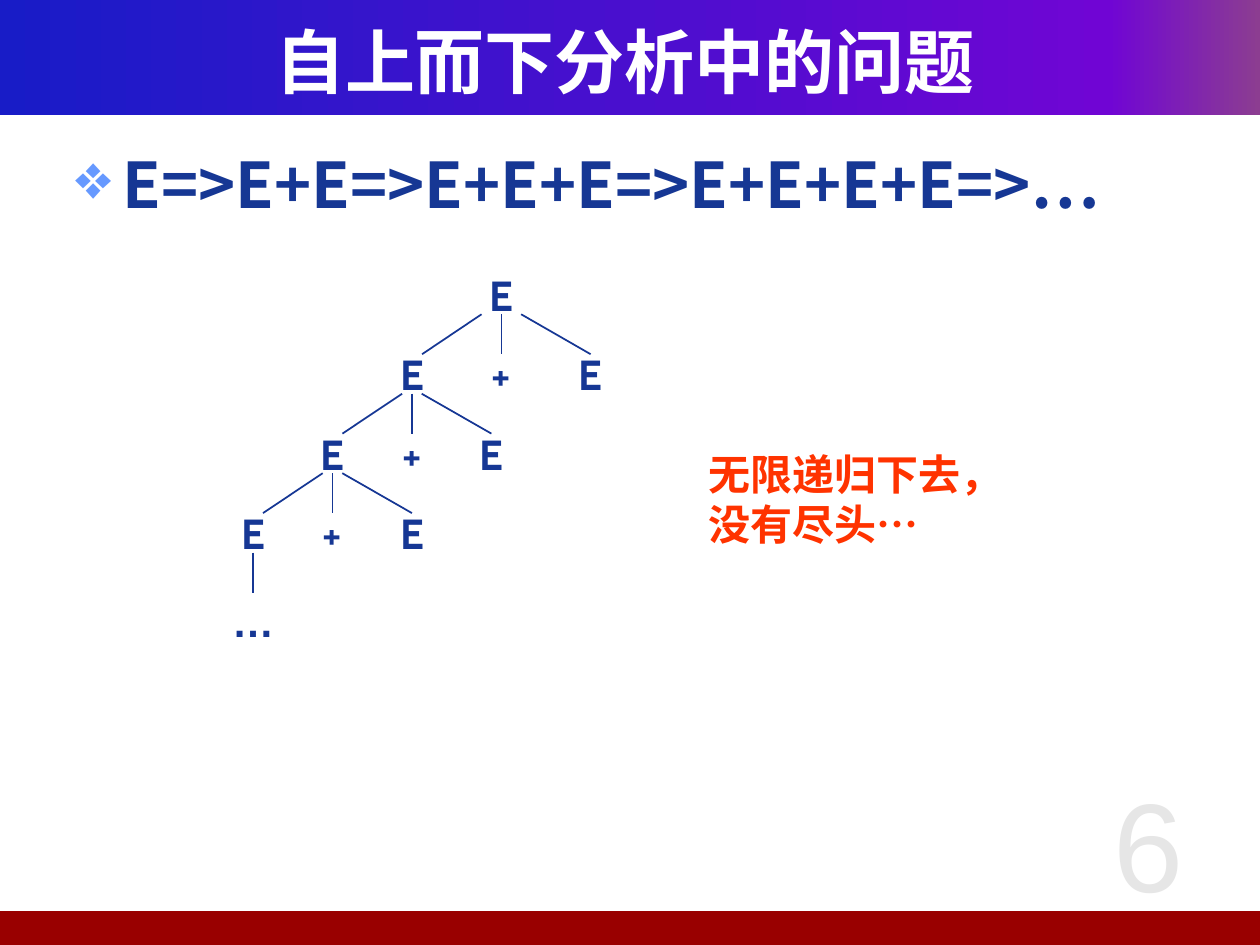
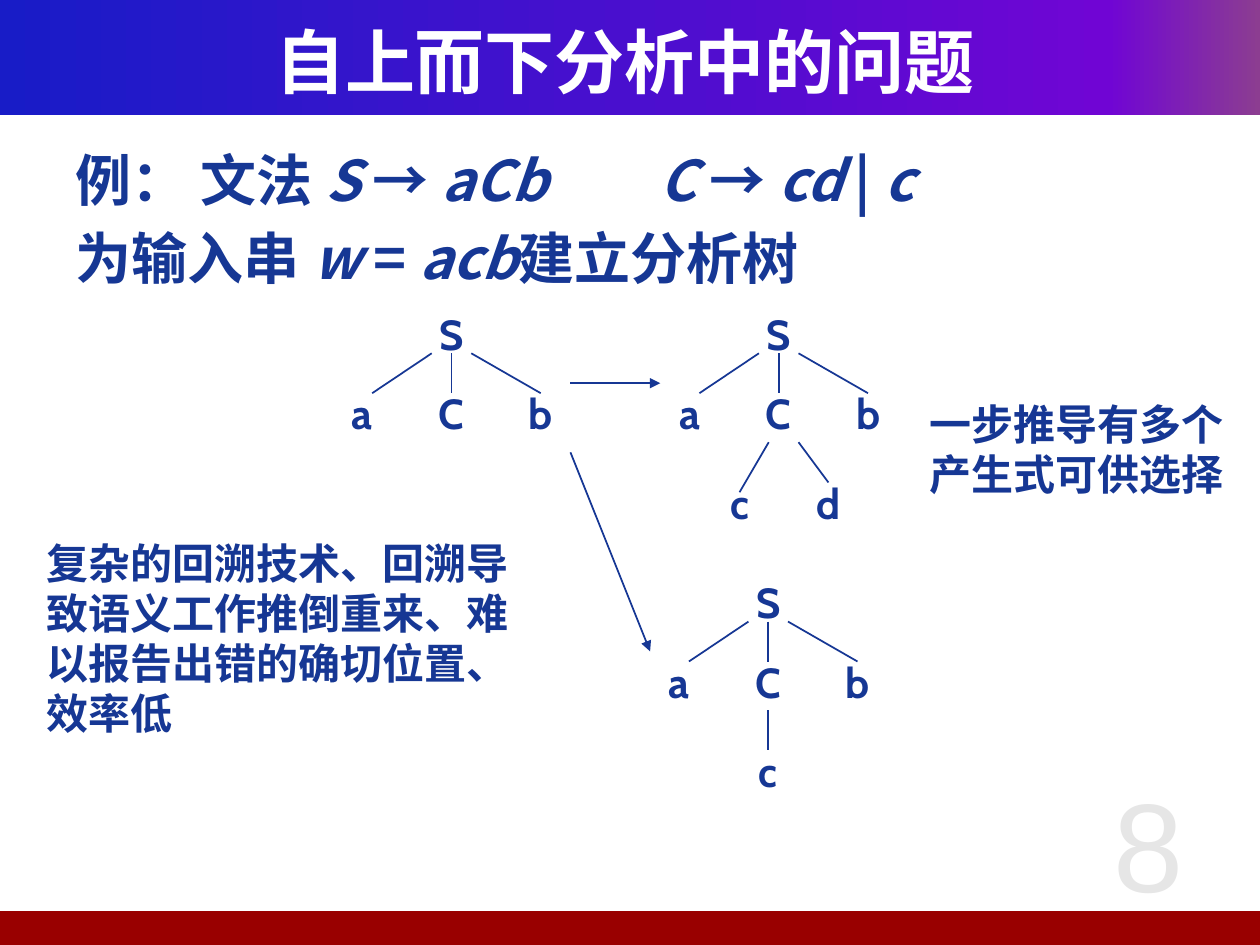
from copy import deepcopy

from lxml import etree
from pptx import Presentation
from pptx.dml.color import RGBColor
from pptx.enum import shapes as kinds, text as txt
from pptx.oxml.ns import qn
from pptx.util import Pt

NAVY = RGBColor(0x16, 0x37, 0x94)
WHITE = RGBColor(0xFF, 0xFF, 0xFF)
ORANGE = RGBColor(0xFF, 0x33, 0x00)
PALE = RGBColor(0xE6, 0xE6, 0xE6)
MAROON = RGBColor(0x99, 0x00, 0x00)
BAND_STOPS = [(0, RGBColor(0x18, 0x1C, 0xC7)),
              (0.88, RGBColor(0x70, 0x05, 0xD4)),
              (1, RGBColor(0x8C, 0x3D, 0x91))]
BULLET_COLOR = "6699FF"
CJK, LATIN, SERIF = "Noto Sans CJK SC", "Cabin", "Times New Roman"

TITLE = "自上而下分析中的问题"
BODY_BOX = (36, 80, 648, 410)
DERIVATION = "E=>E+E=>E+E+E=>E+E+E+E=>…"
ENDLESS = ["无限递归下去，", "没有尽头…"]
CHOICES = ["一步推导有多个", "产生式可供选择"]
ITALIC = {"italic": True}
GRAMMAR = [
    [("例： 文法 ", {}), ("S ", ITALIC), ("→ ", {}), ("aCb\tC ", ITALIC),
     ("→ ", {}), ("cd ", ITALIC), ("| ", {}), ("c", ITALIC)],
    [("为输入串 ", {}), ("w", ITALIC), (" = ", {}), ("acb", ITALIC), ("建立分析树", {})],
]
COMMA = ("、", {"name": SERIF})
DRAWBACKS = [[("复杂的回溯技术", {}), COMMA, ("回溯导致语义工作推倒重来", {}), COMMA,
              ("难以报告出错的确切位置", {}), COMMA, ("效率低", {})]]

# Parent centre and top, distance to the outer children, spread of the branches
RECURSION = [(286.5, 157, 51, 11.3), (235.4, 202.4, 45.4, 5.6), (190, 247.8, 45.4, 5.6)]
# Centre and top of each S, then the children of C: label, its offset, branch start and end
TREES = [
    (258, 179.3, []),
    (445, 179.3, [("c", -22.4, 51, (-5.7, 28), (-22.4, 56.6)),
                  ("d", 28.4, 51, (11.3, 28), (28.4, 51))]),
    (439, 332.6, [("c", 0, 51, (0, 28), (0, 50.6))]),
]
ARROWS = [(326, 219, 377.3, 219), (326, 258.5, 371.5, 372.2)]
LABEL_W, LABEL_H, LEVEL = 34, 22.6, 45.4


def style(paragraph, size, color=NAVY, font=LATIN, bold=True):
    paragraph.font.size, paragraph.font.bold = Pt(size), bold
    paragraph.font.color.rgb = color
    paragraph.font.name = font
    defaults = paragraph.font._element
    latin = defaults.find(qn("a:latin"))
    east_asian = etree.Element(qn("a:ea"), typeface=CJK)
    latin.addnext(east_asian)


def text_box(shapes, box, paragraphs, size, wrap=True, align=None, leading=None,
             gap=0, tab=None, bullet=None, anchor=txt.MSO_ANCHOR.TOP, **look):
    """Write paragraphs, each a string or a list of (text, font settings) runs."""
    frame = shapes.add_textbox(*map(Pt, box)).text_frame
    frame.auto_size = txt.MSO_AUTO_SIZE.NONE
    frame.word_wrap, frame.vertical_anchor = wrap, anchor
    for i, content in enumerate(paragraphs):
        paragraph = frame.add_paragraph() if i else frame.paragraphs[0]
        if align:
            paragraph.alignment = align
        if leading:
            paragraph.line_spacing = Pt(leading)
        if i and gap:
            paragraph.space_before = Pt(gap)
        props = paragraph._p.get_or_add_pPr()
        if bullet:
            props.set("marL", str(Pt(27)))
            props.set("indent", str(Pt(-27)))
            color = etree.SubElement(props, qn("a:buClr"))
            etree.SubElement(color, qn("a:srgbClr"), val=BULLET_COLOR)
            etree.SubElement(props, qn("a:buChar"), char=bullet)
        if tab:
            stops = etree.SubElement(props, qn("a:tabLst"))
            etree.SubElement(stops, qn("a:tab"), pos=str(Pt(tab)), algn="l")
        style(paragraph, size, **look)
        for words, settings in [(content, {})] if isinstance(content, str) else content:
            run = paragraph.add_run()
            run.text = words
            for name, value in settings.items():
                setattr(run.font, name, value)


def label(shapes, symbol, x, top, font=LATIN):
    text_box(shapes, (x - LABEL_W / 2, top, LABEL_W, LABEL_H), [symbol], 24, wrap=False,
             align=txt.PP_ALIGN.CENTER, anchor=txt.MSO_ANCHOR.MIDDLE, font=font)


def line(shapes, x1, y1, x2, y2, arrow=False):
    connector = shapes.add_connector(kinds.MSO_CONNECTOR.STRAIGHT,
                                     Pt(x1), Pt(y1), Pt(x2), Pt(y2))
    connector.line.color.rgb, connector.line.width = NAVY, Pt(1)
    if arrow:
        etree.SubElement(connector.line._get_or_add_ln(), qn("a:tailEnd"), type="triangle")
    etree.SubElement(connector._element.spPr, qn("a:effectLst"))


def branch(shapes, x, top, children, reach, spread):
    """Draw three children under a parent, with the lines that lead to them."""
    ends = (-reach + 5.7, 0, reach)
    for side, symbol, end in zip((-1, 0, 1), children, ends):
        line(shapes, x + side * spread, top + LABEL_H, x + end, top + LEVEL)
        label(shapes, symbol, x + side * reach, top + LEVEL)


def band(slide, box):
    bar = slide.shapes.add_shape(kinds.MSO_SHAPE.RECTANGLE, *map(Pt, box))
    bar.shadow.inherit = False
    bar.line.fill.background()
    return bar


def add_slide(deck, number):
    slide = deck.slides.add_slide(deck.slide_layouts[5])
    header = band(slide, (0, 0, 720, 65.6))
    header.fill.gradient()
    header.fill.gradient_angle = 0
    stop_list = header._element.spPr.find(".//" + qn("a:gsLst"))
    stop_list.append(deepcopy(stop_list[-1]))
    for stop, (position, color) in zip(header.fill.gradient_stops, BAND_STOPS):
        stop.position, stop.color.rgb = position, color
    footer = band(slide, (-3, 520.6, 723, 19.4))
    footer.fill.solid()
    footer.fill.fore_color.rgb = MAROON

    title = slide.shapes.title
    title.left, title.top, title.width, title.height = map(Pt, (24, 12.2, 666, 44.6))
    title.text_frame.text = TITLE
    title.text_frame.auto_size = txt.MSO_AUTO_SIZE.NONE
    title.text_frame.vertical_anchor = txt.MSO_ANCHOR.MIDDLE
    heading = title.text_frame.paragraphs[0]
    heading.alignment = txt.PP_ALIGN.CENTER
    style(heading, 40, WHITE, CJK)
    footer._element.addnext(title._element)
    text_box(slide.shapes, (592.6, 434.2, 127.4, 102), [str(number)], 72,
             align=txt.PP_ALIGN.CENTER, color=PALE, font="Arial", bold=False)
    return slide


def recursion_slide(deck):
    shapes = add_slide(deck, 6).shapes
    text_box(shapes, BODY_BOX, [DERIVATION], 36, leading=43, bullet="❖", font=CJK)
    label(shapes, "E", *RECURSION[0][:2])
    for x, top, reach, spread in RECURSION:
        branch(shapes, x, top, "E+E", reach, spread)
    x, top = x - reach, top + LEVEL
    line(shapes, x, top + LABEL_H, x, top + LEVEL)
    label(shapes, "…", x, top + 50.4, font="Arial")
    text_box(shapes, (398, 252.7, 182, 65), ENDLESS, 24, wrap=False, leading=28.6,
             color=ORANGE)


def backtracking_slide(deck):
    shapes = add_slide(deck, 8).shapes
    text_box(shapes, BODY_BOX, GRAMMAR, 32, leading=38.2, gap=6.4, tab=334, font=CJK)
    for x, top, grandchildren in TREES:
        tree = shapes.add_group_shape().shapes
        label(tree, "S", x, top)
        branch(tree, x, top, "aCb", 51, 11.3)
        for symbol, dx, dy, start, end in grandchildren:
            y = top + LEVEL
            line(tree, x + start[0], y + start[1], x + end[0], y + end[1])
            label(tree, symbol, x + dx, y + dy)
    for arrow in ARROWS:
        line(shapes, *arrow, arrow=True)
    text_box(shapes, (19.4, 303.8, 296, 131.8), DRAWBACKS, 24, leading=28.6, font=CJK)
    text_box(shapes, (524.2, 224.6, 185, 65.5), CHOICES, 24, wrap=False, leading=28.6)


def main():
    deck = Presentation()
    deck.slide_width, deck.slide_height = Pt(720), Pt(540)
    recursion_slide(deck)
    backtracking_slide(deck)
    deck.save("out.pptx")


if __name__ == "__main__":
    main()
